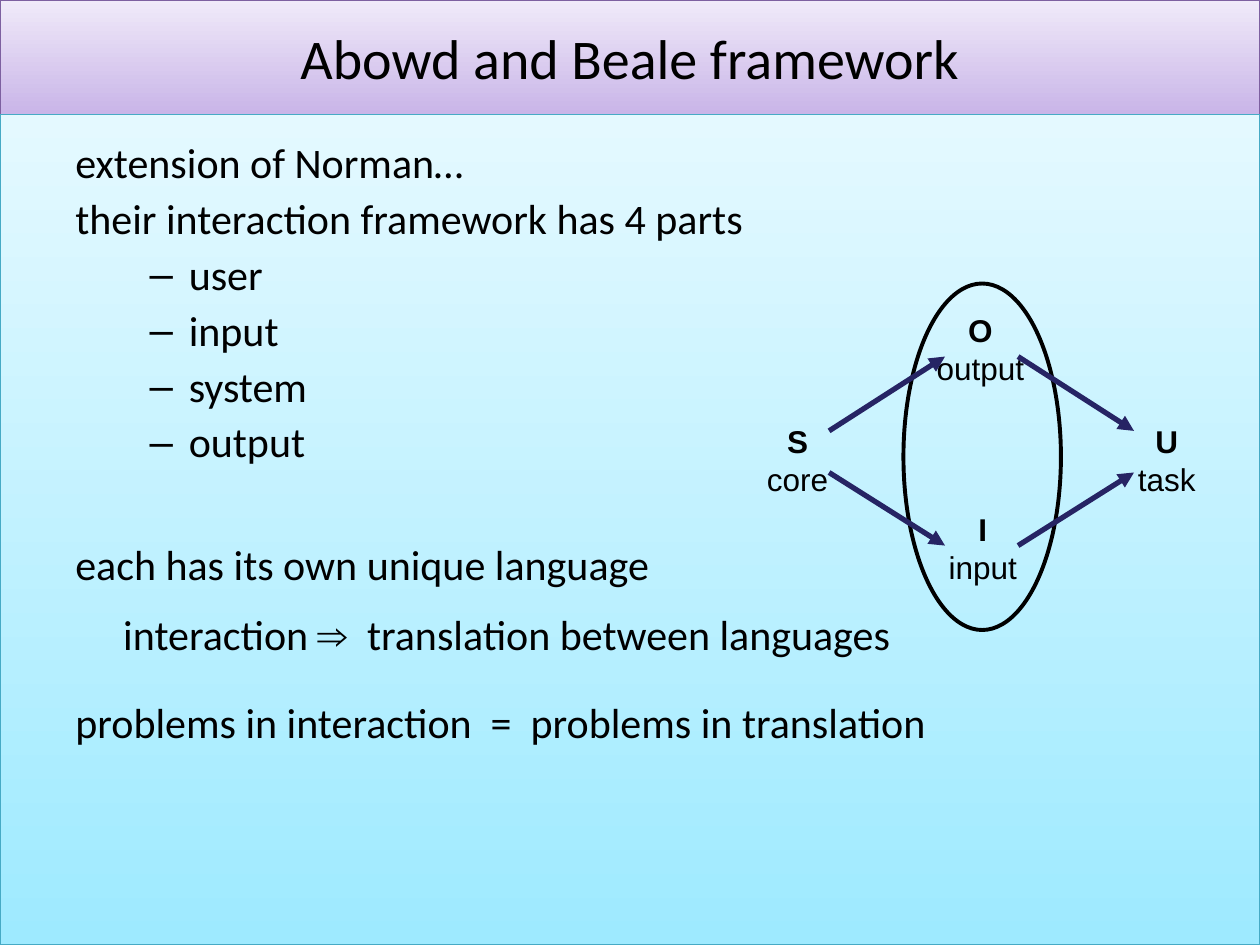
"""Build the Abowd and Beale interaction framework slide."""
from dataclasses import dataclass

import pptx
import pptx.dml.color
import pptx.enum.shapes
import pptx.enum.text
import pptx.oxml
import pptx.oxml.ns
import pptx.util
from pptx.util import Inches


@dataclass(frozen=True)
class Theme:
    ink: str = "000000"
    arrow: str = "262464"
    title_gradient: tuple = ("C9B5E8", "F0EAF9")
    title_border: str = "7D60A0"
    body_gradient: tuple = ("9EEAFF", "E4F9FF")
    body_border: str = "46AAC5"
    text_font: str = "Calibri"
    diagram_font: str = "Arial"
    title_size: int = 32
    body_size: int = 24
    label_size: int = 18


THEME = Theme()
PARTS = ("user", "input", "system", "output")


def rgb(value):
    return pptx.dml.color.RGBColor.from_string(value)


def make_xml(tag, **attributes):
    element = pptx.oxml.parse_xml(f"<a:{tag} {pptx.oxml.ns.nsdecls('a')}/>")
    for key, value in attributes.items():
        element.set(key, value)
    return element


def style_font(font, name, size, bold=False):
    font.name = name
    font.size = pptx.util.Pt(size)
    font.bold = bold
    font.color.rgb = rgb(THEME.ink)


def add_panel(slide, top, height, gradient, border):
    panel = slide.shapes.add_shape(
        pptx.enum.shapes.MSO_SHAPE.RECTANGLE, 0, Inches(top), Inches(10), Inches(height))
    panel.shadow.inherit = False
    panel.fill.gradient()
    panel.fill.gradient_angle = 90
    for stop, colour in zip(panel.fill.gradient_stops, gradient):
        stop.color.rgb = rgb(colour)
    panel.line.color.rgb = rgb(border)
    panel.line.width = pptx.util.Pt(0.75)
    return panel


def add_title(slide, text):
    banner = add_panel(slide, 0, 0.91, THEME.title_gradient, THEME.title_border)
    banner.text_frame.vertical_anchor = pptx.enum.text.MSO_ANCHOR.MIDDLE
    heading = banner.text_frame.paragraphs[0]
    heading.text = text
    heading.alignment = pptx.enum.text.PP_ALIGN.CENTER
    style_font(heading.font, THEME.text_font, THEME.title_size)


def add_statement(frame, *pieces, before=6, left=0, dash=False):
    statement = frame.paragraphs[0]
    if statement.runs:
        statement = frame.add_paragraph()
    for piece in pieces:
        statement.add_run().text = piece
    statement.line_spacing = 0.9
    statement.space_before = pptx.util.Pt(before)
    style_font(statement.font, THEME.text_font, THEME.body_size)
    properties = statement._p.get_or_add_pPr()
    properties.set("marL", str(Inches(left)))
    if dash:
        statement.level = 1
        properties.set("indent", str(Inches(-0.31)))
        for bullet in (make_xml("buFont", typeface=THEME.diagram_font),
                       make_xml("buChar", char="–")):
            properties.insert_element_before(bullet, "a:tabLst", "a:defRPr", "a:extLst")
    return statement


def add_body(slide):
    body = slide.shapes.add_textbox(Inches(0.5), Inches(1.08), Inches(9), Inches(4.95))
    frame = body.text_frame
    frame.word_wrap = True
    add_statement(frame, "extension of Norman…")
    add_statement(frame, "their interaction framework has 4 parts")
    for part in PARTS:
        add_statement(frame, part, left=0.9, dash=True)
    add_statement(frame, "each has its own unique language", before=44)
    translation = add_statement(
        frame, "interaction ", "⇒", "  translation between languages", before=14, left=0.38)
    translation.runs[1].font.name = THEME.diagram_font
    add_statement(frame, "problems in interaction  =  problems in translation", before=24.5)


def add_interface_oval(slide):
    oval = slide.shapes.add_shape(
        pptx.enum.shapes.MSO_SHAPE.OVAL,
        Inches(7.17), Inches(2.25), Inches(1.25), Inches(2.75))
    oval.shadow.inherit = False
    oval.fill.background()
    oval.line.color.rgb = rgb(THEME.ink)
    oval.line.width = pptx.util.Pt(2.25)


def add_component(slide, letter, language, centre, top, width):
    component = slide.shapes.add_textbox(
        Inches(centre - width / 2), Inches(top), Inches(width), Inches(0.7))
    frame = component.text_frame
    frame.word_wrap = False
    frame.auto_size = pptx.enum.text.MSO_AUTO_SIZE.SHAPE_TO_FIT_TEXT
    frame.text = f"{letter}\n{language}"
    for line, bold in zip(frame.paragraphs, (True, False)):
        line.alignment = pptx.enum.text.PP_ALIGN.CENTER
        style_font(line.font, THEME.diagram_font, THEME.label_size, bold)


def add_arrow(slide, start, end):
    arrow = slide.shapes.add_connector(
        pptx.enum.shapes.MSO_CONNECTOR.STRAIGHT, *map(Inches, start + end))
    arrow.line.color.rgb = rgb(THEME.arrow)
    arrow.line.width = pptx.util.Pt(3)
    arrow.line._get_or_add_ln().append(make_xml("tailEnd", type="triangle"))
    arrow._element.spPr.append(make_xml("effectLst"))


def add_diagram(slide):
    add_interface_oval(slide)
    for component in (
        ("S", "core", 6.33, 3.3, 0.74),
        ("U", "task", 9.26, 3.3, 0.72),
        ("O", "output", 7.78, 2.42, 0.95),
        ("I", "input", 7.8, 4, 0.8),
    ):
        add_component(slide, *component)
    for outer_y, interface_y in ((3.42, 2.83), (3.75, 4.33)):
        add_arrow(slide, (6.58, outer_y), (7.5, interface_y))
        add_arrow(slide, (8.08, interface_y), (9, outer_y))


def main():
    deck = pptx.Presentation()
    deck.slide_width, deck.slide_height = Inches(10), Inches(7.5)
    slide = deck.slides.add_slide(deck.slide_layouts[6])
    add_title(slide, "Abowd and Beale framework")
    add_panel(slide, 0.91, 6.59, THEME.body_gradient, THEME.body_border)
    add_body(slide)
    add_diagram(slide)
    deck.save("out.pptx")


if __name__ == "__main__":
    main()
